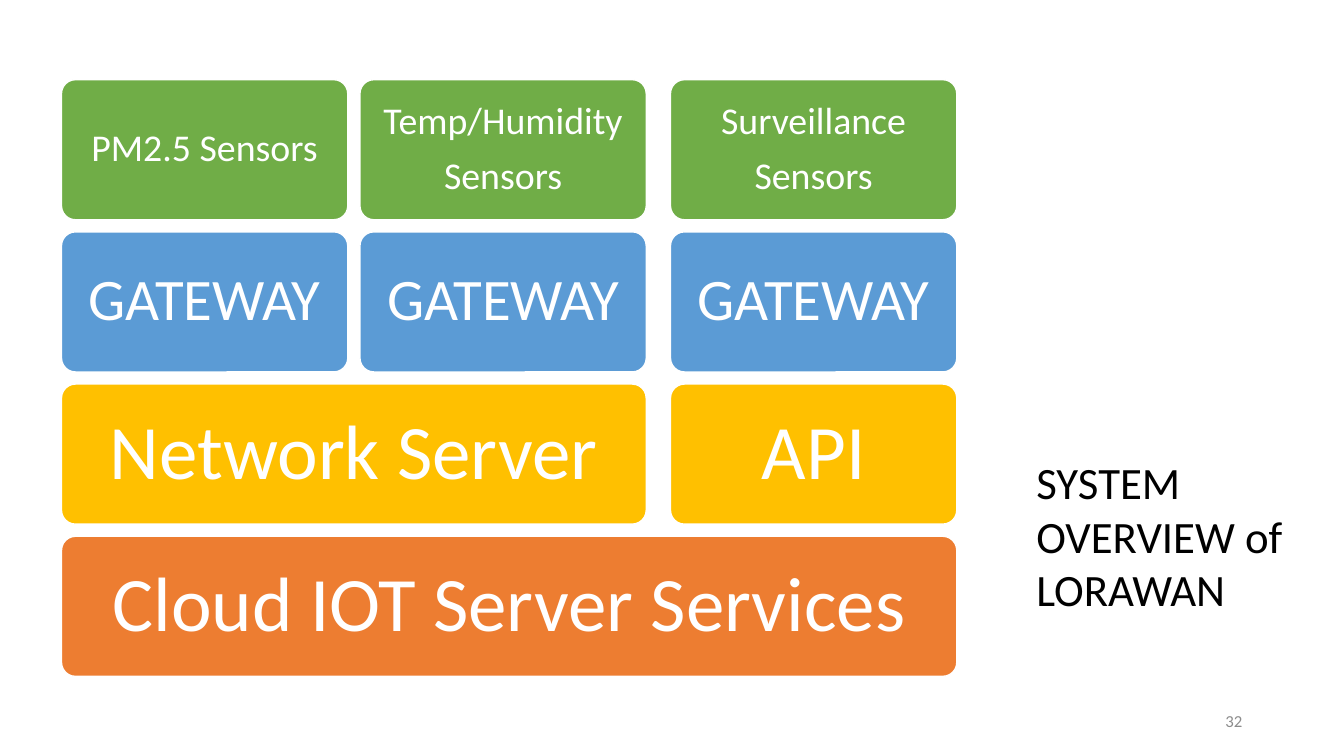
from dataclasses import dataclass

from pptx import Presentation
from pptx.dml.color import RGBColor
from pptx.enum.shapes import MSO_SHAPE as Preset
from pptx.enum.text import MSO_ANCHOR as Anchor, MSO_AUTO_SIZE as AutoSize, PP_ALIGN as Align
from pptx.slide import Slide
from pptx.text.text import TextFrame
from pptx.util import Inches, Pt


@dataclass(frozen=True)
class Theme:
    font: str = "Calibri"
    white: str = "FFFFFF"
    black: str = "000000"
    grey: str = "8C8C8C"
    sensor: str = "70AD47"
    gateway: str = "5B9BD5"
    server: str = "FFC000"
    cloud: str = "ED7D31"
    sensor_size: int = 27
    gateway_size: int = 42
    server_size: int = 55
    title_size: int = 32
    number_size: int = 12


@dataclass(frozen=True)
class Block:
    label: str
    column: int
    span: int = 1


@dataclass(frozen=True)
class Layer:
    fill: str
    size: int
    inset: float
    blocks: tuple[Block, ...]


THEME = Theme()
COLUMN_LEFTS = (0.61, 3.57, 6.65)
COLUMN_WIDTH = 2.84
STACK_TOP, LAYER_PITCH, BLOCK_HEIGHT = 0.79, 1.51, 1.39

LAYERS = (
    Layer(THEME.sensor, THEME.sensor_size, 0.11, (
        Block("PM2.5 Sensors", 0),
        Block("Temp/Humidity\nSensors", 1),
        Block("Surveillance\nSensors", 2),
    )),
    Layer(THEME.gateway, THEME.gateway_size, 0.17,
          tuple(Block("GATEWAY", column) for column in range(3))),
    Layer(THEME.server, THEME.server_size, 0.23,
          (Block("Network Server", 0, 2), Block("API", 2))),
    Layer(THEME.cloud, THEME.server_size, 0.23,
          (Block("Cloud IOT Server Services", 0, 3),)),
)


def write(frame: TextFrame, text: str, size: int, color: str, align: Align) -> None:
    frame.text = text
    frame.word_wrap = True
    for paragraph in frame.paragraphs:
        paragraph.alignment = align
        for run in paragraph.runs:
            run.font.name = THEME.font
            run.font.size = Pt(size)
            run.font.color.rgb = RGBColor.from_string(color)


def add_block(slide: Slide, layer: Layer, block: Block, top: float) -> None:
    left = COLUMN_LEFTS[block.column]
    right = COLUMN_LEFTS[block.column + block.span - 1] + COLUMN_WIDTH
    box = slide.shapes.add_shape(Preset.ROUNDED_RECTANGLE, Inches(left), Inches(top),
                                 Inches(right - left), Inches(BLOCK_HEIGHT))
    box.adjustments[0] = 0.1
    box.shadow.inherit = False
    box.fill.solid()
    box.fill.fore_color.rgb = RGBColor.from_string(layer.fill)
    box.line.color.rgb = RGBColor.from_string(THEME.white)
    box.line.width = Pt(1)

    frame = box.text_frame
    write(frame, block.label, layer.size, THEME.white, Align.CENTER)
    frame.vertical_anchor = Anchor.MIDDLE
    frame.margin_left = frame.margin_right = Inches(layer.inset)
    frame.margin_top = frame.margin_bottom = Inches(layer.inset)
    for paragraph in frame.paragraphs:
        paragraph.line_spacing = 0.9
        paragraph.space_after = Pt(layer.size * 0.35)


def add_title(slide: Slide) -> None:
    title = slide.shapes.add_textbox(Inches(10.18), Inches(4.46), Inches(2.68), Inches(2.26))
    write(title.text_frame, "SYSTEM OVERVIEW of LORAWAN",
          THEME.title_size, THEME.black, Align.LEFT)
    title.text_frame.auto_size = AutoSize.SHAPE_TO_FIT_TEXT


def add_slide_number(slide: Slide) -> None:
    number = slide.shapes.add_textbox(Inches(9.42), Inches(6.95), Inches(3), Inches(0.4))
    write(number.text_frame, "32", THEME.number_size, THEME.grey, Align.RIGHT)
    number.text_frame.vertical_anchor = Anchor.MIDDLE


def main() -> None:
    deck = Presentation()
    deck.slide_width, deck.slide_height = Inches(13.33), Inches(7.5)
    slide = deck.slides.add_slide(deck.slide_layouts[6])
    for row, layer in enumerate(LAYERS):
        for block in layer.blocks:
            add_block(slide, layer, block, STACK_TOP + row * LAYER_PITCH)
    add_title(slide)
    add_slide_number(slide)
    deck.save("out.pptx")


if __name__ == "__main__":
    main()
